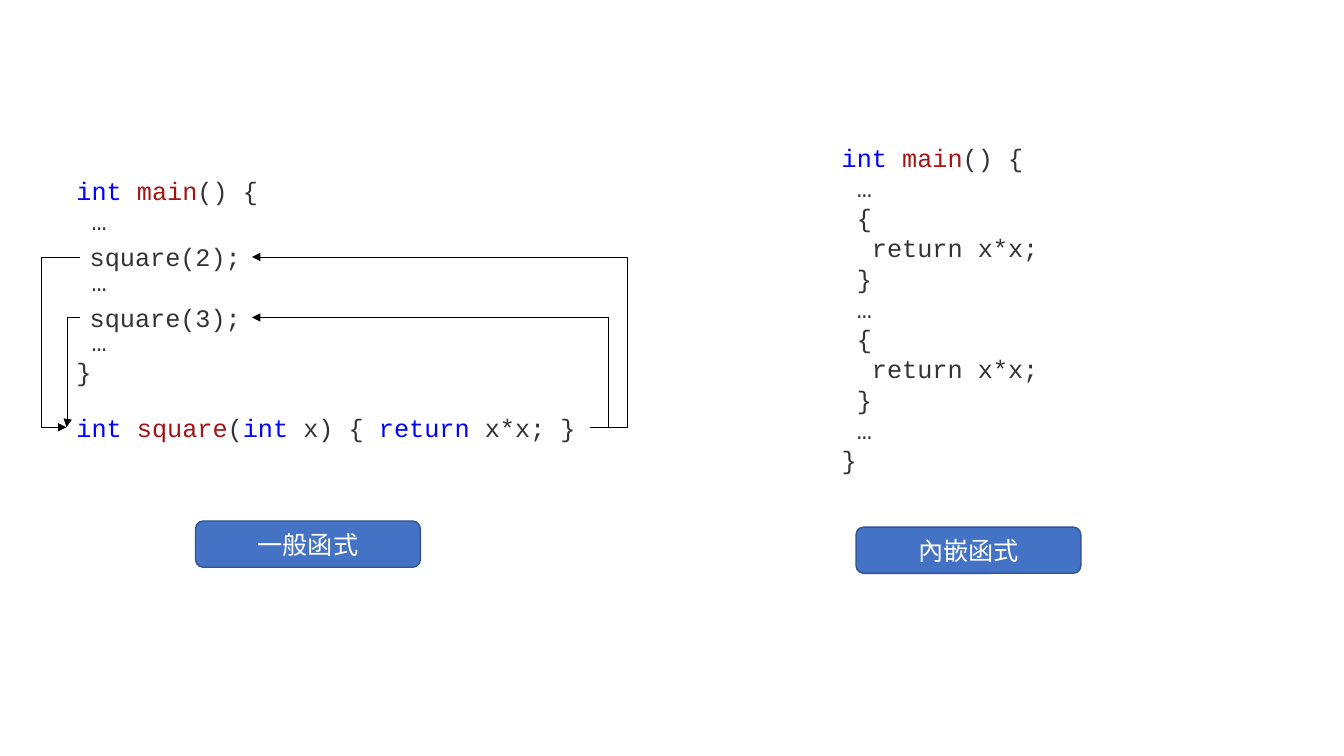
import pptx
import pptx.dml.color
import pptx.enum.shapes
import pptx.enum.text
import pptx.oxml
import pptx.oxml.ns
import pptx.util

KEYWORD = pptx.dml.color.RGBColor(0x00, 0x00, 0xFF)
FUNCTION = pptx.dml.color.RGBColor(0xA3, 0x15, 0x15)
CODE = pptx.dml.color.RGBColor(0x33, 0x33, 0x33)
ARROW = pptx.dml.color.RGBColor(0x00, 0x00, 0x00)
BUTTON_FILL = pptx.dml.color.RGBColor(0x44, 0x72, 0xC4)
BUTTON_EDGE = pptx.dml.color.RGBColor(0x32, 0x54, 0x91)
WHITE = pptx.dml.color.RGBColor(0xFF, 0xFF, 0xFF)

# A grid cell is one code character wide and one code line high
COLUMN, ROW = 0.15, 0.3


def columns(count):
    return pptx.util.Inches(count * COLUMN)


def rows(count):
    return pptx.util.Inches(count * ROW)


class CodeSlide:
    """Holds the style and the slide being drawn."""

    code_font, label_font = "Courier New", "Calibri"
    size = pptx.util.Pt(18)

    def __init__(self, page):
        self.page = page

    def code(self, left, top, width, height, lines):
        """Each line is (indent, blank lines above, spans of text and colour)."""
        box = self.page.shapes.add_textbox(
            columns(left), rows(top), columns(width), rows(height))
        frame = box.text_frame
        frame.word_wrap = True
        frame.auto_size = pptx.enum.text.MSO_AUTO_SIZE.SHAPE_TO_FIT_TEXT
        for index, (indent, gap, spans) in enumerate(lines):
            para = frame.add_paragraph() if index else frame.paragraphs[0]
            para.font.name, para.font.size = self.code_font, self.size
            para.line_spacing = pptx.util.Pt(ROW * 72)
            para.space_before = pptx.util.Pt(gap * ROW * 72)
            para._p.get_or_add_pPr().set("marL", str(columns(indent)))
            for text, color in spans:
                span = para.add_run()
                span.text = text
                span.font.color.rgb = color

    def arrow(self, start, end, bend):
        """Draws an elbow from start to end whose upright part is at column bend."""
        line = self.page.shapes.add_connector(
            pptx.enum.shapes.MSO_CONNECTOR.ELBOW,
            columns(start[0]), rows(start[1]), columns(end[0]), rows(end[1]))
        line.line.color.rgb = ARROW
        line.line.width = pptx.util.Pt(0.5)
        properties = line._element.spPr
        share = (bend - start[0]) / (end[0] - start[0])
        guides = properties.find(pptx.oxml.ns.qn("a:prstGeom")).get_or_add_avLst()
        self.add_xml(guides, "gd", name="adj1", fmla=f"val {round(share * 100000)}")
        outline = properties.find(pptx.oxml.ns.qn("a:ln"))
        self.add_xml(outline, "tailEnd", type="triangle")
        self.add_xml(properties, "effectLst")

    def add_xml(self, parent, tag, **attributes):
        child = parent.makeelement(pptx.oxml.ns.qn("a:" + tag), attributes)
        parent.append(child)

    def button(self, left, top, text):
        shape = self.page.shapes.add_shape(
            pptx.enum.shapes.MSO_SHAPE.ROUNDED_RECTANGLE,
            columns(left), rows(top), columns(14.87), rows(1.53))
        shape.shadow.inherit = False
        shape.fill.solid()
        shape.fill.fore_color.rgb = BUTTON_FILL
        shape.line.color.rgb = BUTTON_EDGE
        shape.line.width = pptx.util.Pt(1)
        shape.text_frame.vertical_anchor = pptx.enum.text.MSO_ANCHOR.MIDDLE
        para = shape.text_frame.paragraphs[0]
        para.text = text
        para.alignment = pptx.enum.text.PP_ALIGN.CENTER
        para.font.name, para.font.size = self.label_font, self.size
        para.font.color.rgb = WHITE


def plain(text, indent=0, gap=0):
    return indent, gap, [(text, CODE)]


def main():
    deck = pptx.Presentation()
    deck.slide_width = pptx.util.Inches(13.33)
    deck.slide_height = pptx.util.Inches(7.5)
    slide = CodeSlide(deck.slides.add_slide(deck.slide_layouts[6]))
    main_line = (0, 0, [("int ", KEYWORD), ("main", FUNCTION), ("() {", CODE)])
    dots, close = plain("…", 1), plain("}")

    # Ordinary function: the calls sit in the gaps of the listing
    after_call = plain("…", 1, gap=1)
    slide.code(4.4, 5.63, 44.4, 8.4,
               [main_line, dots, after_call, after_call, close])
    slide.code(4.4, 13.47, 34.6, 1.33, [(0, 0, [
        ("int ", KEYWORD), ("square", FUNCTION), ("(", CODE), ("int", KEYWORD),
        (" x) { ", CODE), ("return", KEYWORD), (" x*x; }", CODE)])])

    # Calls, with arrows to the function and back
    function_row = 14.13
    calls = [("square(2);", 8.5, 2.73, 41.47), ("square(3);", 10.5, 4.47, 40.2)]
    for text, row, left_bend, right_bend in calls:
        slide.code(5.27, row - 0.67, 11.4, 1.33, [plain(text)])
        slide.arrow((5.27, row), (4.4, function_row), left_bend)
        slide.arrow((39, function_row), (16.67, row), right_bend)

    # Inline function: the body replaces each call
    body = [plain("{", 1), plain("return x*x;", 2), plain("}", 1), dots]
    slide.code(55, 4.53, 44.4, 12.47, [main_line, dots, *body, *body, close])

    # Labels
    slide.button(12.93, 17.23, "一般函式")
    slide.button(56.6, 17.43, "內嵌函式")

    deck.save("out.pptx")


if __name__ == "__main__":
    main()
